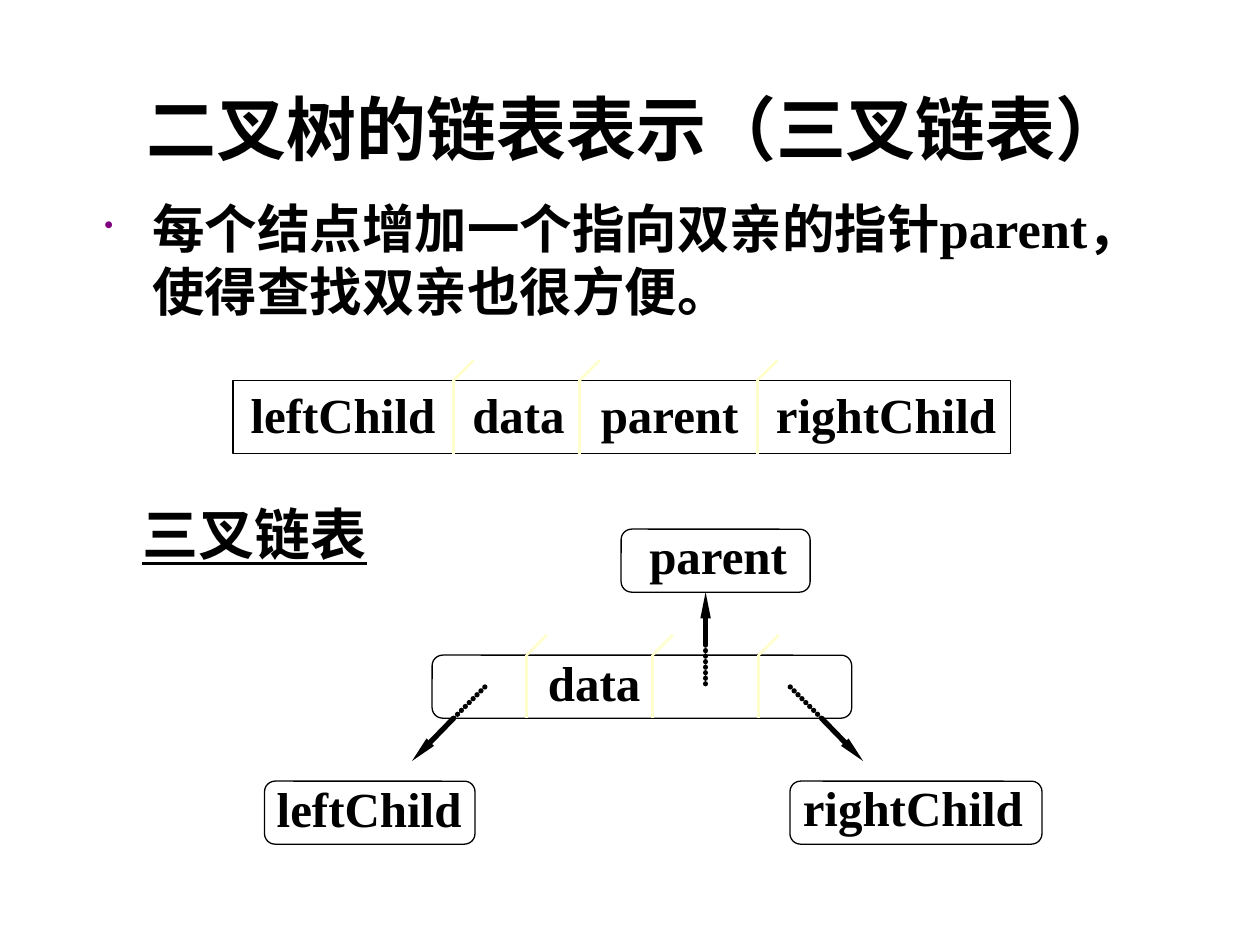
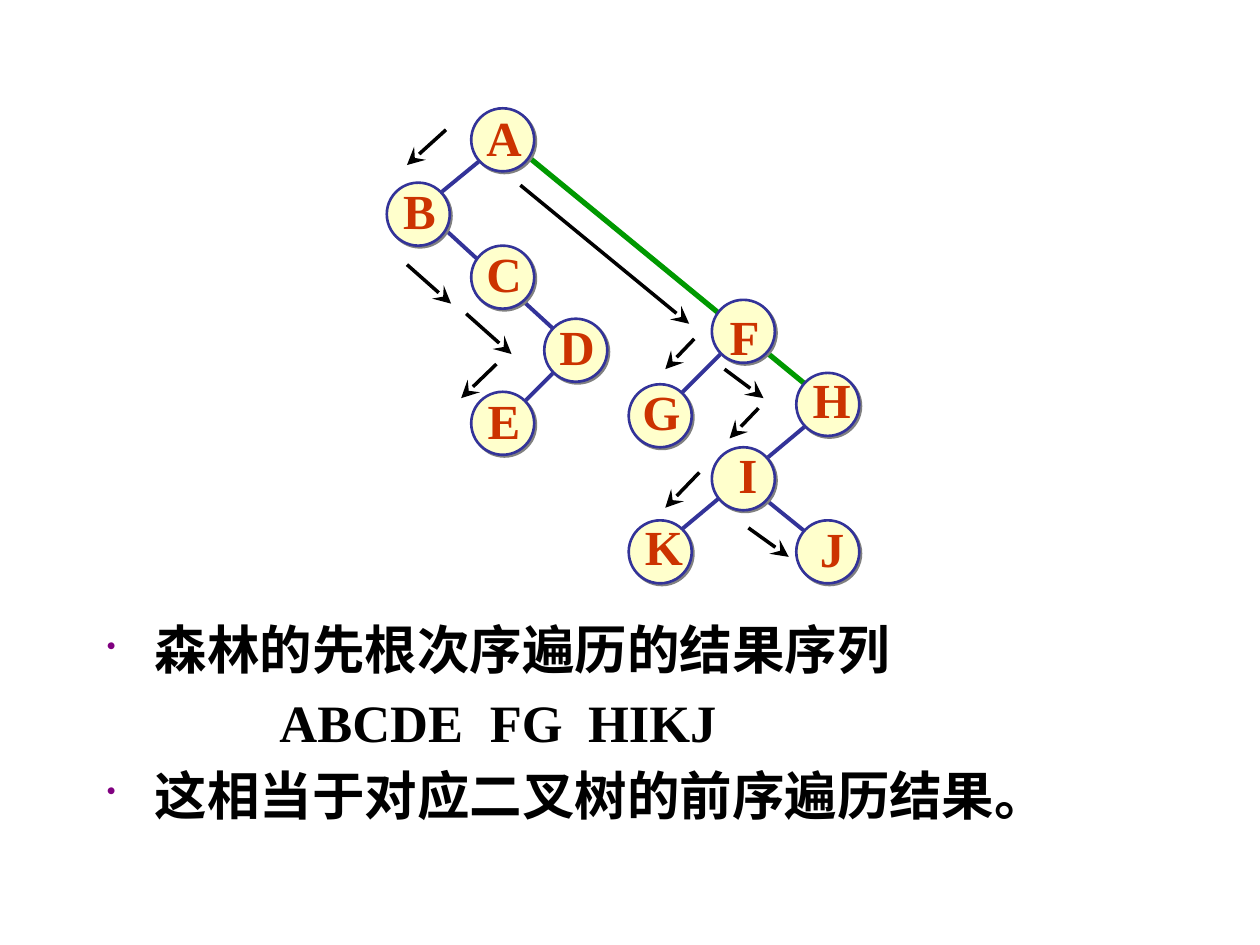
from typing import NamedTuple, Optional

import pptx
import pptx.dml.color
import pptx.enum.shapes
import pptx.enum.text
import pptx.oxml.ns
import pptx.util
from lxml import etree
from pptx.util import Inches

BLACK = pptx.dml.color.RGBColor(0x00, 0x00, 0x00)
WHITE = pptx.dml.color.RGBColor(0xFF, 0xFF, 0xFF)
CREAM = pptx.dml.color.RGBColor(0xFF, 0xFF, 0xCC)
NAVY = pptx.dml.color.RGBColor(0x33, 0x33, 0x99)
GREEN = pptx.dml.color.RGBColor(0x00, 0x99, 0x00)
RUST = pptx.dml.color.RGBColor(0xCC, 0x33, 0x00)
GREY = pptx.dml.color.RGBColor(0x80, 0x80, 0x80)
PURPLE = pptx.dml.color.RGBColor(0x80, 0x00, 0x80)

SERIF = "Times New Roman"
SANS = "Arial"
LABEL_HEIGHT = 0.57
NODE_SIZE = 0.5
TICK = 0.16

Shape = pptx.enum.shapes.MSO_SHAPE
Align = pptx.enum.text.PP_ALIGN
Anchor = pptx.enum.text.MSO_ANCHOR


class Point(NamedTuple):
    x: float
    y: float


class Frame(NamedTuple):
    left: float
    top: float
    width: float
    height: float


class Stroke(NamedTuple):
    color: pptx.dml.color.RGBColor
    width: float
    arrow: Optional[str] = None
    arrow_width: str = "med"
    dotted: bool = False


class Segment(NamedTuple):
    start: Point
    end: Point
    stroke: Stroke


class TextStyle(NamedTuple):
    size: float
    color: pptx.dml.color.RGBColor = BLACK
    font: str = SERIF
    underline: bool = False


class Label(NamedTuple):
    text: str
    frame: Frame


class Node(NamedTuple):
    letter: str
    left: float
    top: float
    label: Frame


class Pointer(NamedTuple):
    inside: Point
    border: Point
    tip: Point


class Item(NamedTuple):
    text: str
    bulleted: bool = True
    tabs: tuple[float, ...] = ()


LABEL = TextStyle(28)
LETTER = TextStyle(28, RUST)
BODY = TextStyle(30)
TITLE = TextStyle(40, font=SANS)
CAPTION = TextStyle(32, underline=True)

DIVIDER = Stroke(CREAM, 1.5)
POINTER = Stroke(BLACK, 3, "triangle", "sm")
POINTER_ROOT = Stroke(BLACK, 3, dotted=True)
BRANCH = Stroke(NAVY, 2.25)
ROOT_LINK = Stroke(GREEN, 3)
VISIT = Stroke(BLACK, 2, "stealth", "lg")

RECORD = Frame(1.85, 3.02, 6.17, 0.58)
RECORD_DIVIDERS = (3.6, 4.6, 6.01)
RECORD_TABS = (1.76, 2.78, 4.17)
CENTRE = Frame(3.43, 5.2, 3.33, 0.5)
CENTRE_DIVIDERS = (4.18, 5.18, 6.02)
LINKED_BOXES = (
    Frame(4.93, 4.2, 1.5, 0.5),
    CENTRE,
    Frame(6.27, 6.2, 2, 0.5),
    Frame(2.1, 6.2, 1.67, 0.5),
)
LINKED_LABELS = (
    Label("parent", Frame(5.05, 4.12, 1.3, LABEL_HEIGHT)),
    Label("data", Frame(4.25, 5.13, 0.93, LABEL_HEIGHT)),
    Label("leftChild", Frame(2.1, 6.13, 1.66, LABEL_HEIGHT)),
    Label("rightChild", Frame(6.27, 6.12, 1.95, LABEL_HEIGHT)),
)
POINTERS = (
    Pointer(Point(5.6, 5.45), Point(5.6, 5.12), Point(5.6, 4.7)),
    Pointer(Point(3.85, 5.45), Point(3.6, 5.7), Point(3.27, 6.04)),
    Pointer(Point(6.27, 5.45), Point(6.52, 5.7), Point(6.85, 6.04)),
)

EDGES = (
    Segment(Point(4.15, 1.21), Point(6.49, 3.13), ROOT_LINK),
    Segment(Point(4.49, 2.86), Point(4.07, 3.28), BRANCH),
    Segment(Point(3.4, 1.7), Point(4.49, 2.7), BRANCH),
    Segment(Point(3.9, 1.2), Point(3.4, 1.61), BRANCH),
    Segment(Point(6.07, 3.96), Point(6.49, 4.3), BRANCH),
    Segment(Point(6.49, 3.3), Point(5.4, 4.21), BRANCH),
    Segment(Point(5.82, 2.71), Point(5.32, 3.21), BRANCH),
)
NODES = (
    Node("A", 3.74, 0.86, Frame(3.76, 0.8, 0.48, LABEL_HEIGHT)),
    Node("B", 3.07, 1.45, Frame(3.1, 1.38, 0.46, LABEL_HEIGHT)),
    Node("C", 3.74, 1.95, Frame(3.76, 1.88, 0.48, LABEL_HEIGHT)),
    Node("D", 4.32, 2.53, Frame(4.34, 2.46, 0.48, LABEL_HEIGHT)),
    Node("E", 3.74, 3.11, Frame(3.77, 3.05, 0.46, LABEL_HEIGHT)),
    Node("F", 5.65, 2.38, Frame(5.69, 2.38, 0.44, LABEL_HEIGHT)),
    Node("G", 4.99, 3.05, Frame(5, 2.98, 0.5, LABEL_HEIGHT)),
    Node("H", 6.32, 2.96, Frame(6.35, 2.88, 0.5, LABEL_HEIGHT)),
    Node("I", 5.65, 3.55, Frame(5.76, 3.48, 0.35, LABEL_HEIGHT)),
    Node("K", 4.99, 4.13, Frame(5.02, 4.05, 0.5, LABEL_HEIGHT)),
    Node("J", 6.32, 4.13, Frame(6.41, 4.06, 0.39, LABEL_HEIGHT)),
)
VISITS = (
    (Point(3.54, 1.03), Point(3.23, 1.31)),
    (Point(3.23, 2.1), Point(3.58, 2.41)),
    (Point(3.7, 2.49), Point(4.06, 2.81)),
    (Point(3.94, 2.89), Point(3.66, 3.16)),
    (Point(4.13, 1.47), Point(5.47, 2.57)),
    (Point(5.51, 2.69), Point(5.28, 2.93)),
    (Point(5.75, 2.93), Point(6.06, 3.16)),
    (Point(6.02, 3.24), Point(5.79, 3.48)),
    (Point(5.55, 3.75), Point(5.28, 4.03)),
    (Point(5.94, 4.19), Point(6.26, 4.42)),
)


def add_element(parent, tag: str, **attributes: str):
    return etree.SubElement(parent, pptx.oxml.ns.qn(tag), attributes)


def add_span(para, text: str, style: TextStyle) -> None:
    span = para.add_run()
    span.text = text
    span.font.name = style.font
    span.font.size = pptx.util.Pt(style.size)
    span.font.bold = True
    span.font.underline = style.underline
    span.font.color.rgb = style.color


def add_tabs(para, positions: tuple[float, ...]) -> None:
    stops = add_element(para._p.get_or_add_pPr(), "a:tabLst")
    for position in positions:
        add_element(stops, "a:tab", pos=str(int(Inches(position))), algn="l")


def add_box(page, frame: Frame, wrap: bool, anchor: Anchor):
    box = page.shapes.add_textbox(*map(Inches, frame))
    box.text_frame.word_wrap = wrap
    box.text_frame.vertical_anchor = anchor
    return box


def add_label(page, label: Label, style: TextStyle) -> None:
    box = add_box(page, label.frame, False, Anchor.MIDDLE)
    box.text_frame.margin_left = box.text_frame.margin_right = Inches(0)
    para = box.text_frame.paragraphs[0]
    para.alignment = Align.CENTER
    add_span(para, label.text, style)


def add_body(page, frame: Frame, items: tuple[Item, ...], gap: float = 0) -> None:
    box = add_box(page, frame, True, Anchor.TOP)
    for index, item in enumerate(items):
        para = box.text_frame.add_paragraph() if index else box.text_frame.paragraphs[0]
        if item.bulleted:
            properties = para._p.get_or_add_pPr()
            properties.set("marL", str(int(Inches(0.38))))
            properties.set("indent", str(int(Inches(-0.38))))
            color = add_element(properties, "a:buClr")
            add_element(color, "a:srgbClr", val=str(PURPLE))
            add_element(properties, "a:buSzPct", val="50000")
            add_element(properties, "a:buChar", char="•")
        if item.tabs:
            add_tabs(para, item.tabs)
        if index:
            para.space_before = pptx.util.Pt(gap)
        add_span(para, item.text, BODY)


def add_panel(page, kind: Shape, frame: Frame, fill, line, width: float):
    panel = page.shapes.add_shape(kind, *map(Inches, frame))
    panel.shadow.inherit = False
    panel.fill.solid()
    panel.fill.fore_color.rgb = fill
    panel.line.color.rgb = line
    panel.line.width = pptx.util.Pt(width)
    return panel


def add_segment(page, start: Point, end: Point, stroke: Stroke) -> None:
    connector = page.shapes.add_connector(
        pptx.enum.shapes.MSO_CONNECTOR.STRAIGHT, *map(Inches, (*start, *end))
    )
    connector.line.color.rgb = stroke.color
    connector.line.width = pptx.util.Pt(stroke.width)
    outline = connector.line._get_or_add_ln()
    if stroke.dotted:
        outline.set("cap", "rnd")
        dashes = add_element(outline, "a:custDash")
        add_element(dashes, "a:ds", d="100000", sp="5000")
    if stroke.arrow:
        add_element(outline, "a:tailEnd", type=stroke.arrow, w=stroke.arrow_width, len="lg")
    add_element(connector._element.spPr, "a:effectLst")


def add_dividers(page, frame: Frame, positions: tuple[float, ...]) -> None:
    for x in positions:
        corner = Point(x, frame.top)
        add_segment(page, Point(x, frame.top + frame.height), corner, DIVIDER)
        add_segment(page, corner, Point(x + TICK, frame.top - TICK), DIVIDER)


def add_node(page, node: Node) -> None:
    frame = Frame(node.left, node.top, NODE_SIZE, NODE_SIZE)
    circle = add_panel(page, Shape.OVAL, frame, CREAM, NAVY, 1.5)
    effects = circle._element.spPr.find(pptx.oxml.ns.qn("a:effectLst"))
    distance = str(int(pptx.util.Pt(1.4)))
    shadow = add_element(effects, "a:outerShdw", dist=distance, dir="2700000", algn="ctr")
    add_element(shadow, "a:srgbClr", val=str(GREY))
    add_label(page, Label(node.letter, node.label), LETTER)


def build_linked_list(page) -> None:
    add_panel(page, Shape.RECTANGLE, RECORD, WHITE, BLACK, 0.75)
    add_dividers(page, RECORD, RECORD_DIVIDERS)
    fields = add_box(page, Frame(1.89, 3, 6.3, LABEL_HEIGHT), True, Anchor.MIDDLE)
    para = fields.text_frame.paragraphs[0]
    add_tabs(para, RECORD_TABS)
    add_span(para, "leftChild\tdata\tparent\trightChild", LABEL)

    for frame in LINKED_BOXES:
        add_panel(page, Shape.ROUNDED_RECTANGLE, frame, WHITE, BLACK, 0.75)
    for label in LINKED_LABELS:
        add_label(page, label, LABEL)
    add_dividers(page, CENTRE, CENTRE_DIVIDERS)
    for pointer in POINTERS:
        add_segment(page, pointer.border, pointer.tip, POINTER)
        add_segment(page, pointer.border, pointer.inside, POINTER_ROOT)

    add_label(page, Label("三叉链表", Frame(1.03, 3.91, 1.98, 0.64)), CAPTION)
    title = Label("二叉树的链表表示（三叉链表）", Frame(0.55, 0.48, 9, 1.06))
    add_label(page, title, TITLE)
    item = Item("每个结点增加一个指向双亲的指针parent，使得查找双亲也很方便。")
    add_body(page, Frame(0.73, 1.51, 8.72, 1.14), (item,))


def build_traversal(page) -> None:
    items = (
        Item("森林的先根次序遍历的结果序列"),
        Item("\tABCDE\tFG\tHIKJ", False, (1.37, 3.04, 3.82)),
        Item("这相当于对应二叉树的前序遍历结果。"),
    )
    add_body(page, Frame(0.75, 4.85, 9, 2.01), items, gap=5.6)
    for edge in EDGES:
        add_segment(page, *edge)
    for node in NODES:
        add_node(page, node)
    for start, end in VISITS:
        add_segment(page, start, end, VISIT)


def main() -> None:
    deck = pptx.Presentation()
    deck.slide_width, deck.slide_height = Inches(10), Inches(7.5)
    for build in (build_linked_list, build_traversal):
        build(deck.slides.add_slide(deck.slide_layouts[6]))
    deck.save("out.pptx")


if __name__ == "__main__":
    main()
